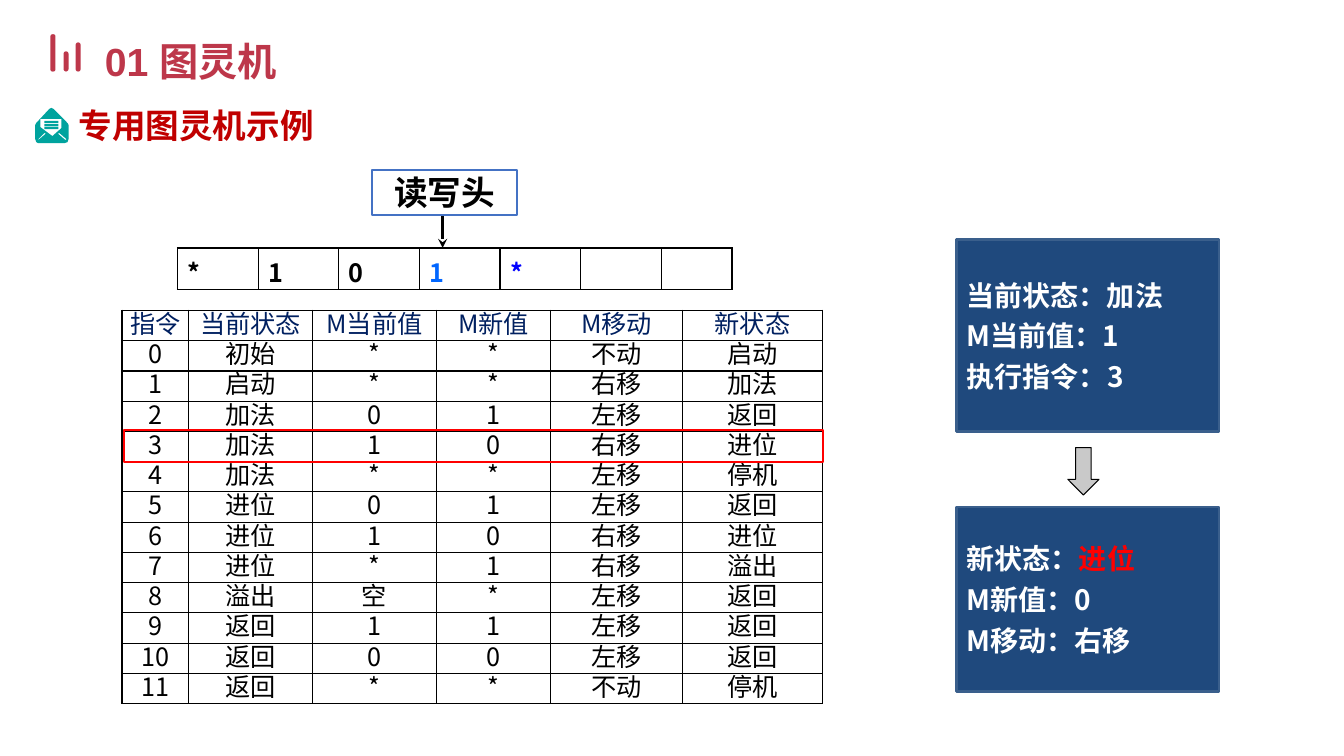
"""Build the slide about a special Turing machine, with its tape, rules and states."""
import dataclasses
import typing

import lxml.etree
import pptx
import pptx.dml.color
import pptx.enum.shapes
import pptx.enum.text
import pptx.oxml.ns
import pptx.util

SCALE = 9144
FONT = "Noto Sans CJK SC"
SHAPE = pptx.enum.shapes.MSO_SHAPE
ALIGN = pptx.enum.text.PP_ALIGN
ANCHOR = pptx.enum.text.MSO_ANCHOR
BLACK, WHITE, RED, ROSE, NAVY = "000000", "FFFFFF", "FF0000", "BD374A", "1F497D"


@dataclasses.dataclass(frozen=True)
class Run:
    text: str
    size: int
    tint: str = BLACK
    bold: bool = True
    face: str = FONT


@dataclasses.dataclass(frozen=True)
class Box:
    area: tuple[int, int, int, int]
    kind: typing.Any = SHAPE.RECTANGLE
    fill: str = ""
    line: str = ""
    width: float = 0
    curve: float | None = None
    lines: tuple[tuple[Run, ...], ...] = ()
    align: typing.Any = ALIGN.LEFT
    inset: tuple[int, int] = (10, 5)


@dataclasses.dataclass(frozen=True)
class Grid:
    area: tuple[int, int, int, int]
    widths: tuple[int, ...]
    rows: tuple[tuple[Run, ...], ...]
    align: typing.Any
    inset: int
    edge: float


def px(count: float) -> pptx.util.Emu:
    return pptx.util.Emu(round(count * SCALE))


def color(code: str) -> pptx.dml.color.RGBColor:
    return pptx.dml.color.RGBColor.from_string(code)


def assign(thing: typing.Any, values: dict[str, typing.Any]) -> None:
    for name, value in values.items():
        setattr(thing, name, value)


def add_tag(parent: typing.Any, tag: str, **values: str) -> typing.Any:
    return lxml.etree.SubElement(parent, pptx.oxml.ns.qn(tag), values)


def paint(part: typing.Any, code: str) -> None:
    if code:
        part.solid()
        part.fore_color.rgb = color(code)
    else:
        part.background()


def margins(side: int, top: int) -> dict[str, typing.Any]:
    return {"margin_left": px(side), "margin_right": px(side),
            "margin_top": px(top), "margin_bottom": px(top)}


def write(para: typing.Any, runs: typing.Iterable[Run], style: dict[str, typing.Any]) -> None:
    assign(para, style)
    for item in runs:
        run = para.add_run()
        run.text = item.text
        assign(run.font, {"size": pptx.util.Pt(item.size), "bold": item.bold, "name": item.face})
        run.font.color.rgb = color(item.tint)
        add_tag(run.font._element, "a:ea", typeface=FONT)


def draw_box(slide: typing.Any, box: Box) -> None:
    shape = slide.shapes.add_shape(box.kind, *map(px, box.area))
    shape.shadow.inherit = False
    if box.curve is not None:
        shape.adjustments[0] = box.curve
    paint(shape.fill, box.fill)
    paint(shape.line.fill, box.line)
    if box.line:
        shape.line.width = pptx.util.Pt(box.width)
    frame = shape.text_frame
    assign(frame, {"word_wrap": True, "vertical_anchor": ANCHOR.MIDDLE, **margins(*box.inset)})
    for index, runs in enumerate(box.lines):
        para = frame.add_paragraph() if index else frame.paragraphs[0]
        write(para, runs, {"alignment": box.align, "space_before": pptx.util.Pt(5 if index else 0)})


def draw_grid(slide: typing.Any, grid: Grid) -> None:
    count = len(grid.rows)
    table = slide.shapes.add_table(count, len(grid.widths), *map(px, grid.area)).table
    assign(table, {"first_row": False, "horz_banding": False})
    for column, width in zip(table.columns, grid.widths):
        column.width = px(width)
    for top, (row, items) in enumerate(zip(table.rows, grid.rows)):
        row.height = px(grid.area[3] / count)
        for cell, item in zip(row.cells, items):
            assign(cell, {"vertical_anchor": ANCHOR.BOTTOM, **margins(grid.inset, 0)})
            write(cell.text_frame.paragraphs[0], [item] if item.text else [],
                  {"alignment": grid.align, "line_spacing": pptx.util.Pt(21)})
            cell.fill.background()
            widths = {"L": 1, "R": 1, "T": 1 if top else grid.edge,
                      "B": grid.edge if top == count - 1 else 1}
            props = cell._tc.get_or_add_tcPr()
            for index, (side, width) in enumerate(widths.items()):
                line = add_tag(props, f"a:ln{side}", w=str(pptx.util.Pt(width)))
                add_tag(add_tag(line, "a:solidFill"), "a:srgbClr", val=BLACK)
                props.insert(index, line)


def draw_icon(slide: typing.Any) -> None:
    rings = [
        [(35, 124), (36, 122), (49, 108), (51, 107), (53, 108), (67, 122), (68, 124),
         (68, 138), (67, 141), (64, 142), (38, 142), (36, 141), (35, 138)],
        [(40, 118), (40, 126), (52, 135), (61, 127), (61, 118)],
        *([(44, top), (44, top + 2), (58, top + 2), (58, top)] for top in (120, 123, 126)),
        [(38, 139), (45, 133), (45, 132), (44, 132), (38, 138)],
        [(66, 138), (59, 132), (58, 132), (58, 133), (65, 139)],
    ]
    maker = slide.shapes.build_freeform(*rings[0][0], scale=SCALE)
    for index, ring in enumerate(rings):
        if index:
            maker.move_to(*ring[0])
        maker.add_line_segments(ring[1:], close=True)
    icon = maker.convert_to_shape()
    icon.shadow.inherit = False
    paint(icon.fill, "00A39E")
    icon.line.fill.background()


def draw_arrow(slide: typing.Any) -> None:
    kind = pptx.enum.shapes.MSO_CONNECTOR.STRAIGHT
    arrow = slide.shapes.add_connector(kind, *map(px, (439, 213, 439, 246)))
    paint(arrow.line.fill, BLACK)
    arrow.line.width = pptx.util.Pt(2.25)
    add_tag(arrow.line._get_or_add_ln(), "a:tailEnd", type="stealth")
    add_tag(arrow._element.spPr, "a:effectLst")


def draw_heads(slide: typing.Any) -> None:
    title = slide.shapes.title
    label = slide.shapes.add_textbox(*map(px, (68, 99, 257, 50)))
    assign(title, dict(zip(("left", "top", "width", "height"), map(px, (94, 20, 454, 64)))))
    heads = [(title, Run("01 图灵机", 28, ROSE, face="Arial"), 1.25),
             (label, Run("专用图灵机示例", 24, "C00000"), 1.0)]
    for shape, run, space in heads:
        frame = shape.text_frame
        assign(frame, {"auto_size": pptx.enum.text.MSO_AUTO_SIZE.NONE, "word_wrap": shape is title,
                       "vertical_anchor": ANCHOR.TOP, **margins(10, 5)})
        write(frame.paragraphs[0], [run], {"alignment": ALIGN.LEFT, "line_spacing": space})


def panel(top: int, height: int, *lines: tuple[Run, ...]) -> Box:
    return Box((949, top, 260, height), fill=NAVY, line="3A5F8C", width=2, lines=lines)


def field(text: str, tint: str = WHITE) -> Run:
    return Run(text, 20, tint)


RULES = """指令 当前状态 M当前值 M新值 M移动 新状态
0 初始 * * 不动 启动
1 启动 * * 右移 加法
2 加法 0 1 左移 返回
3 加法 1 0 右移 进位
4 加法 * * 左移 停机
5 进位 0 1 左移 返回
6 进位 1 0 右移 进位
7 进位 * 1 右移 溢出
8 溢出 空 * 左移 返回
9 返回 1 1 左移 返回
10 返回 0 0 左移 返回
11 返回 * * 不动 停机"""
RULE_ROWS = tuple(
    tuple(Run(text, 18, BLACK if top else "002060", False) for text in line.split())
    for top, line in enumerate(RULES.splitlines()))
TAPE = (("*", BLACK), ("1", BLACK), ("0", BLACK), ("1", "0066FF"), ("*", "0000FF"),
        ("", BLACK), ("", BLACK))
BARS = [
    Box((50, 34, 5, 37), SHAPE.ROUNDED_RECTANGLE, ROSE, curve=0.42),
    Box((63, 51, 5, 20), SHAPE.ROUNDED_RECTANGLE, ROSE, curve=0.5),
    Box((75, 42, 5, 29), SHAPE.ROUNDED_RECTANGLE, ROSE, curve=0.5),
]
BOXES = [
    panel(238, 190, (field("当前状态：加法"),), (field("M当前值：1"),), (field("执行指令：3"),)),
    Box((369, 169, 144, 44), line="4472C4", width=1.5, lines=((Run("读写头", 24),),),
        align=ALIGN.CENTER, inset=(2, 1)),
    Box((123, 427, 693, 31), line=RED, width=1.5),
    panel(503, 183, (field("新状态："), field("进位", RED)), (field("M新值：0"),),
          (field("M移动：右移"),)),
    Box((1059, 444, 31, 47), SHAPE.DOWN_ARROW, "C9C9C9", BLACK, 0.75),
]
GRIDS = [
    Grid((121, 308, 695, 390), (66, 123, 123, 113, 131, 139), RULE_ROWS, ALIGN.CENTER, 7, 1.5),
    Grid((176, 246, 550, 41), (80,) * 6 + (70,),
         (tuple(Run(text, 18, tint) for text, tint in TAPE),), ALIGN.LEFT, 10, 1),
]


def main() -> None:
    deck = pptx.Presentation()
    assign(deck, {"slide_width": px(1333), "slide_height": px(750)})
    slide = deck.slides.add_slide(deck.slide_layouts[5])
    for bar in BARS:
        draw_box(slide, bar)
    draw_heads(slide)
    draw_icon(slide)
    for grid in GRIDS:
        draw_grid(slide, grid)
    draw_arrow(slide)
    for box in BOXES:
        draw_box(slide, box)
    deck.save("out.pptx")


if __name__ == "__main__":
    main()
